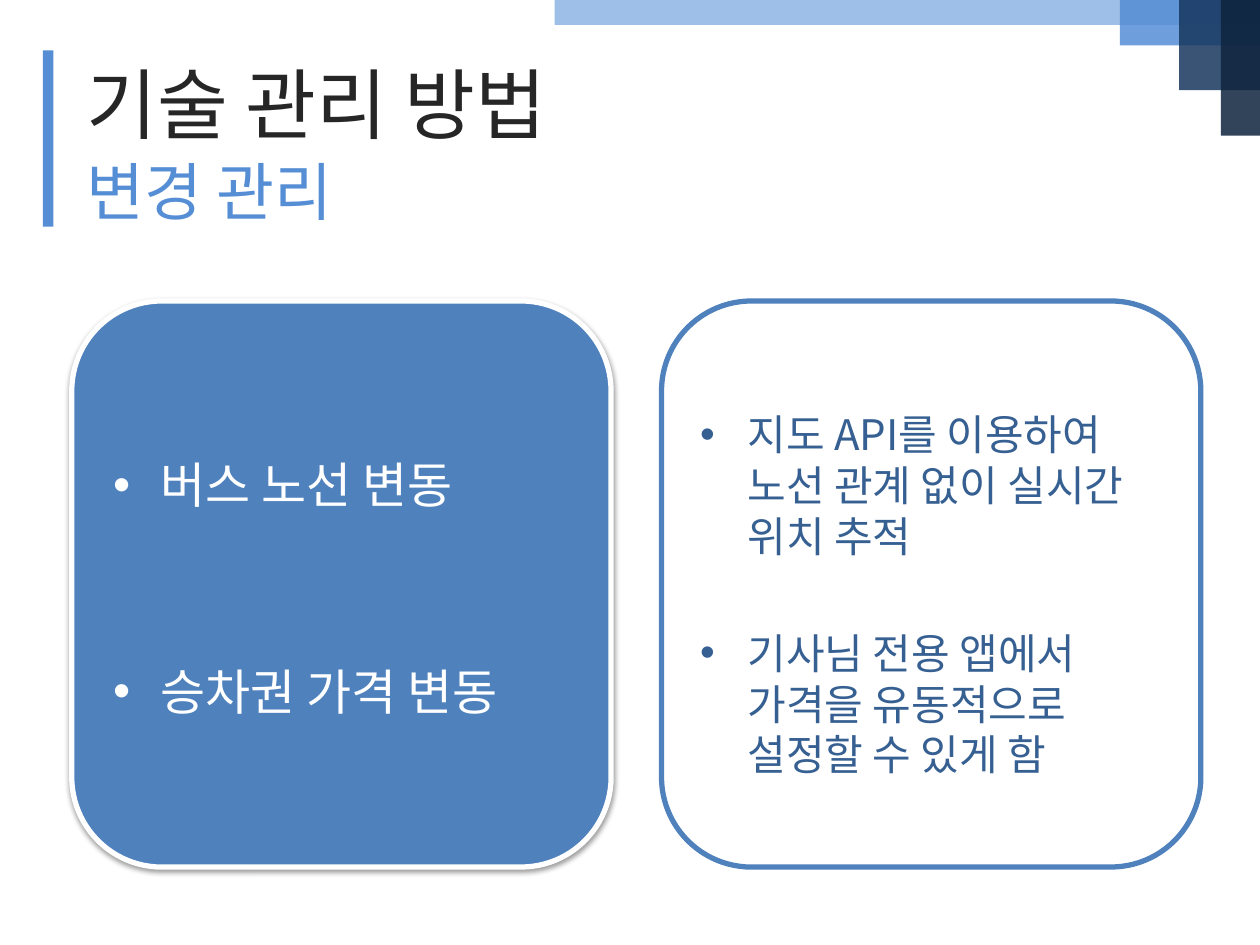
from lxml import etree
from pptx import Presentation
from pptx.dml.color import RGBColor
from pptx.enum.shapes import MSO_SHAPE
from pptx.enum.text import MSO_ANCHOR, MSO_AUTO_SIZE, PP_ALIGN
from pptx.oxml.ns import qn
from pptx.util import Pt

RECT, ROUND = MSO_SHAPE.RECTANGLE, MSO_SHAPE.ROUNDED_RECTANGLE
TOP, LEFT, FIXED = MSO_ANCHOR.TOP, PP_ALIGN.LEFT, MSO_AUTO_SIZE.NONE

TITLE = "기술 관리 방법"
SUB = "변경 관리"
CARDS = [
    dict(items=["버스 노선 변동", "승차권 가격 변동"], fill="card", line="white",
         ink="white", size="large", gap=84, box=(57.6, 254, 275, 170)),
    dict(items=["지도 API를 이용하여 노선 관계 없이 실시간 위치 추적",
                "기사님 전용 앱에서 가격을 유동적으로 설정할 수 있게 함"],
         fill=None, line="card", ink="navy", size="body", gap=38,
         box=(393, 228, 278, 221)),
]
STEPS = [("pale", 403, 14.2), ("accent", 80, 26), ("deep", 46.2, 51.5),
         ("night", 22.4, 77.5)]

THEME = dict(
    font="Noto Sans CJK KR",
    color=dict(ink="262626", accent="558ED5", pale="8EB4E3", deep="17375E",
               night="0F243E", card="4F81BD", navy="376092", white="FFFFFF"),
    size=dict(title=44, sub=36, large=28, body=24),
    pitch=1.21, drop=0.07, indent=27, alpha=85,
)
WIDE, HIGH = 720, 540
CARD_X, CARD_Y, CARD_W, CARD_H, CARD_STEP = 41, 172, 308.2, 323.5, 337


def tint(name):
    return RGBColor.from_string(THEME["color"][name])


def node(parent, tag, **attrs):
    child = etree.SubElement(parent, qn(tag))
    for key, value in attrs.items():
        child.set(key, str(value))
    return child


def place(shape, box):
    shape.left, shape.top, shape.width, shape.height = map(Pt, box)


def block(slide, kind, box, fill, line=None):
    shape = slide.shapes.add_shape(kind, *map(Pt, box))
    shape.shadow.inherit = False
    if fill:
        shape.fill.solid()
        shape.fill.fore_color.rgb = tint(fill)
    else:
        shape.fill.background()
    if line:
        shape.line.color.rgb = tint(line)
        shape.line.width = Pt(3)
    else:
        shape.line.fill.background()
    return shape


def fade(shape):
    color = shape.fill._xPr.find(qn("a:solidFill"))[0]
    node(color, "a:alpha", val=THEME["alpha"] * 1000)


def shade(shape):
    effects = shape._element.spPr.find(qn("a:effectLst"))
    cast = node(effects, "a:outerShdw", blurRad=Pt(3.1), dist=Pt(1.6),
                dir=90 * 60000, rotWithShape=0)
    color = node(cast, "a:srgbClr", val="000000")
    node(color, "a:alpha", val=38000)


def write(shape, lines, size, ink, gap=0, bullet=False):
    points = THEME["size"][size]
    frame = shape.text_frame
    frame.word_wrap = True
    frame.auto_size = FIXED
    frame.vertical_anchor = TOP
    frame.margin_left = frame.margin_right = Pt(7.2)
    frame.margin_top = Pt(3.6 + THEME["drop"] * points)
    frame.margin_bottom = Pt(0)
    frame.text = "\n".join(lines)
    for row, para in enumerate(frame.paragraphs):
        if bullet:
            props = para._p.get_or_add_pPr()
            props.set("marL", str(Pt(THEME["indent"])))
            props.set("indent", str(-Pt(THEME["indent"])))
            node(props, "a:buFont", typeface="Arial")
            node(props, "a:buChar", char="•")
        para.alignment = LEFT
        para.line_spacing = Pt(round(points * THEME["pitch"], 1))
        para.space_before = Pt(gap if row else 0)
        para.font.size = Pt(points)
        para.font.name = THEME["font"]
        para.font.color.rgb = tint(ink)
        for run in para.runs:
            node(run._r.get_or_add_rPr(), "a:ea", typeface=THEME["font"])


def label(slide, box, *args, **options):
    write(slide.shapes.add_textbox(*map(Pt, box)), *args, **options)


def main():
    deck = Presentation()
    deck.slide_width, deck.slide_height = Pt(WIDE), Pt(HIGH)
    slide = deck.slides.add_slide(deck.slide_layouts[5])

    title = slide.shapes.title
    place(title, (42.5, 25.2, 351, 60.5))
    write(title, [TITLE], "title", "ink")
    label(slide, (42.5, 80.6, 317.5, 51), [SUB], "sub", "accent")
    block(slide, RECT, (24.5, 28.8, 6, 100.8), "accent")

    for name, width, height in STEPS:
        fade(block(slide, RECT, (WIDE - width, 0, width, height), name))

    for col, card in enumerate(CARDS):
        box = (CARD_X + col * CARD_STEP, CARD_Y, CARD_W, CARD_H)
        panel = block(slide, ROUND, box, card["fill"], card["line"])
        if card["fill"]:
            shade(panel)
        label(slide, card["box"], card["items"], card["size"], card["ink"],
              gap=card["gap"], bullet=True)

    deck.save("out.pptx")


if __name__ == "__main__":
    main()
